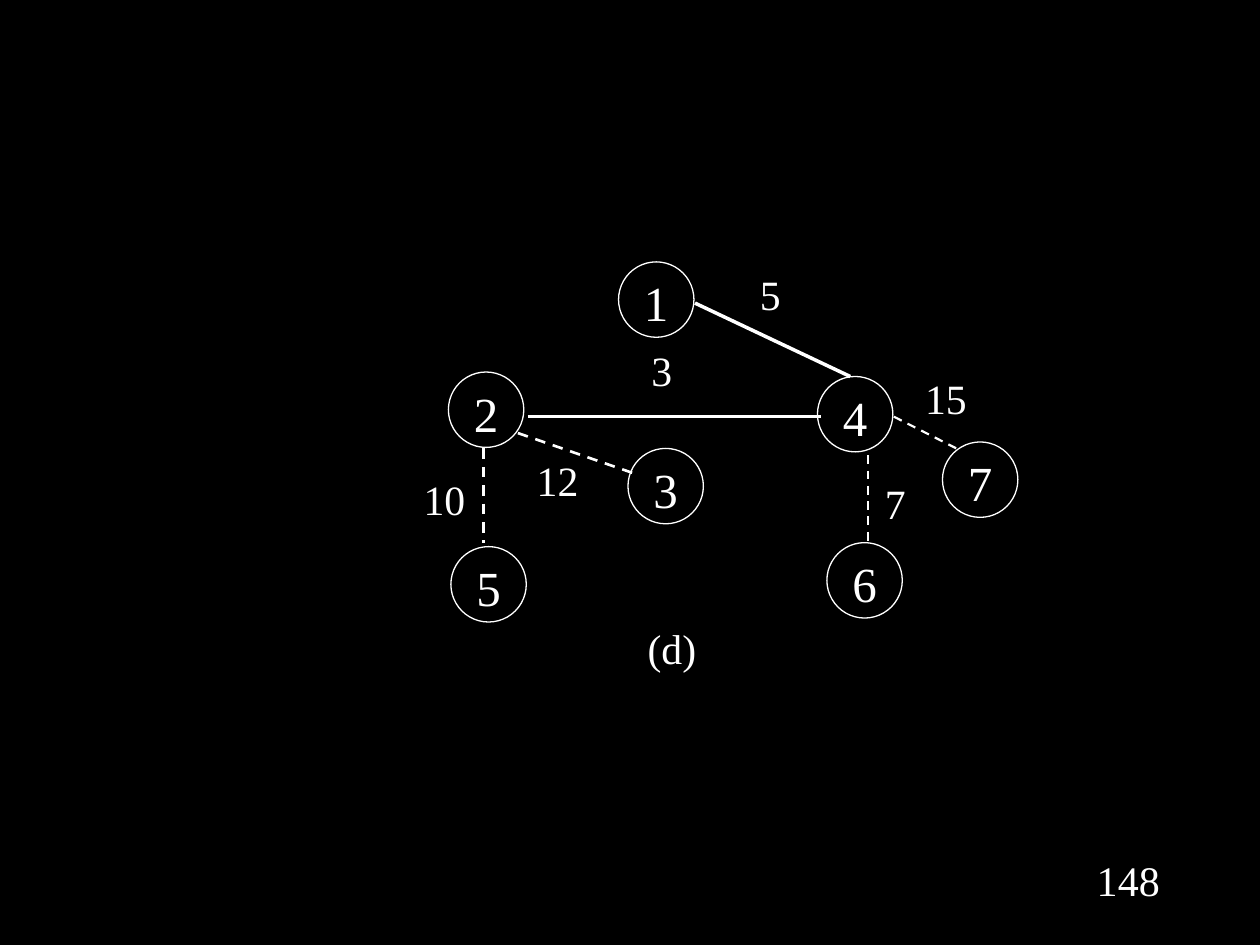
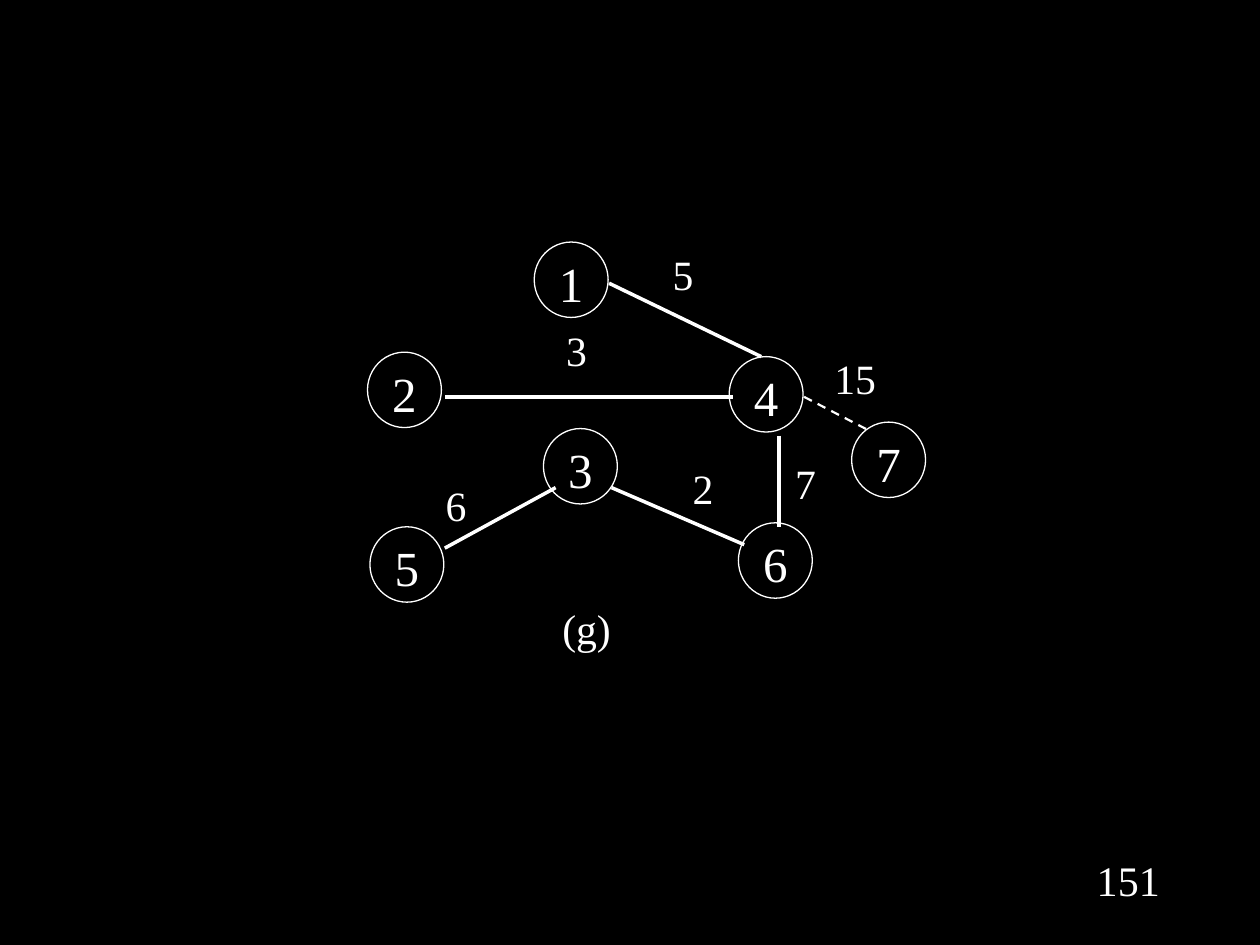
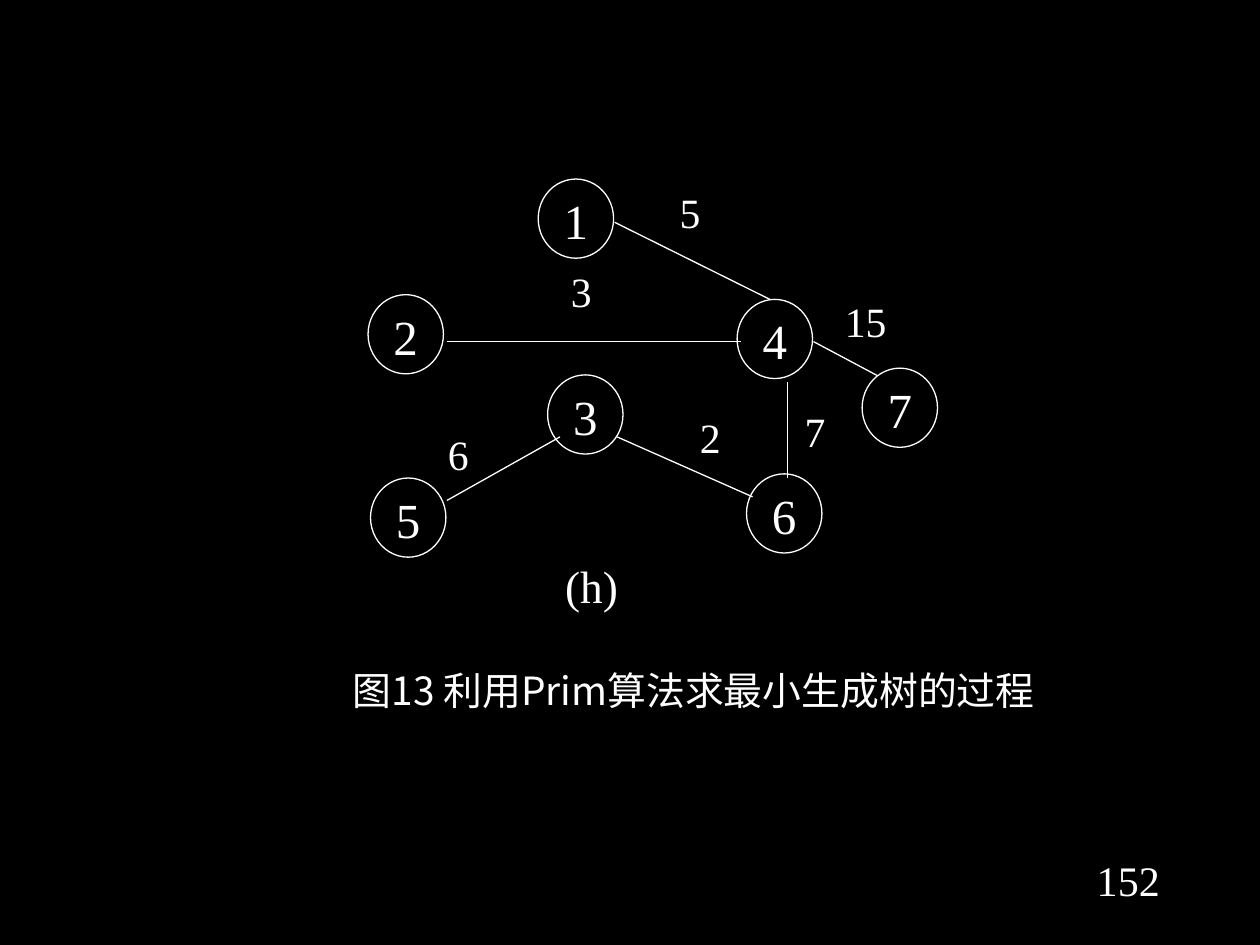
from dataclasses import dataclass
from pptx import Presentation
from pptx import util as u
from pptx.dml.color import RGBColor
from pptx.enum import dml, shapes, text
from pptx.oxml import xmlchemy as x
from pptx.oxml.ns import qn


@dataclass(frozen=True)
class Theme:
    ground: RGBColor = RGBColor(0, 0, 0)
    ink: RGBColor = RGBColor(255, 255, 255)
    latin: str = "Times New Roman"
    cjk: str = "Noto Sans CJK SC"
    node: float = 28
    weight: float = 23.8
    page: float = 24
    title: float = 22.2
    outline: float = 0.75


T = Theme()

NODE = 1.52
WEIGHT_BOX = (1.4, 1.02)
CAPTION_AT, CAPTION_BOX = (-0.13, 7.39), (2.41, 1.09)
PAGE_BOX = (21.79, 17.09, 1.91, 1.27)

NODES = {
    "1": (0, 0), "2": (-3.43, 2.22), "3": (0.19, 3.76), "4": (4.01, 2.31),
    "5": (-3.38, 5.74), "6": (4.2, 5.66), "7": (6.53, 3.63),
}

EDGES = {
    "1-4": ("5", (2.36, 0.25), (1.54, 0.83), (4.67, 2.31)),
    "2-4": ("3", (0.17, 1.78), (-1.83, 3.12), (4.09, 3.12)),
    "4-7": ("15", (5.9, 2.35), (5.55, 3.12), (6.83, 3.77)),
    "4-6": ("7", (4.88, 4.46), (5.03, 3.9), (5.03, 5.74)),
    "3-6": ("2", (2.77, 4.57), (1.59, 4.95), (4.32, 6.1)),
    "5-3": ("6", (-2.31, 4.9), (-1.84, 6.17), (0.44, 4.95)),
    "2-5": ("10", (-4.21, 4.39), (-2.72, 3.76), (-2.72, 5.66)),
    "2-3": ("12", (-1.93, 4.01), (-2.03, 3.45), (0.33, 4.27)),
}

STEPS = [
    {"page": "148", "caption": "(d)", "size": 23.8,
     "origin": (12.47, 5.28), "scale": (1, 1),
     "tree": (2, ["1-4", "2-4"]),
     "candidates": {"4-7": 1.25, "4-6": 1.25, "2-5": 1.5, "2-3": 1.5}},
    {"page": "151", "caption": "(g)", "size": 23.8,
     "origin": (10.77, 4.88), "scale": (0.98, 1),
     "tree": (2, ["1-4", "2-4", "4-6", "3-6", "5-3"]),
     "candidates": {"4-7": 1.25}},
    {"page": "152", "caption": "(h)", "size": 25.9,
     "origin": (10.85, 3.61), "scale": (1, 1.05),
     "tree": (0.75, ["1-4", "2-4", "4-6", "3-6", "5-3", "4-7"]),
     "candidates": {},
     "title": ("图13 利用Prim算法求最小生成树的过程", (6.15, 13.54, 15.67, 1.47))},
]


def write(sp, words, size, font=T.latin, spacing=None, margins=(0, 0)):
    tf = sp.text_frame
    tf.word_wrap = True
    tf.vertical_anchor = text.MSO_ANCHOR.TOP
    tf.margin_left = tf.margin_right = u.Cm(margins[0])
    tf.margin_top = tf.margin_bottom = u.Cm(margins[1])
    p = tf.paragraphs[0]
    p.alignment = text.PP_ALIGN.CENTER
    if spacing:
        p.line_spacing = spacing
    r = p.add_run()
    r.text = words
    r.font.name = font
    r.font.size = u.Pt(size)
    r.font.color.rgb = T.ink
    ea = r.font._element.makeelement(qn("a:ea"), {"typeface": font})
    r.font._element.find(qn("a:latin")).addnext(ea)


def add_label(s, box, words, size, **style):
    sp = s.shapes.add_textbox(*map(u.Cm, box))
    write(sp, words, size, **style)


def add_node(s, box, name):
    sp = s.shapes.add_shape(shapes.MSO_SHAPE.OVAL, *map(u.Cm, box))
    sp.shadow.inherit = False
    sp.fill.background()
    sp.line.color.rgb = T.ink
    sp.line.width = u.Pt(T.outline)
    write(sp, name, T.node)


def add_edge(s, start, end, width, dashed):
    c = s.shapes.add_connector(shapes.MSO_CONNECTOR.STRAIGHT, *map(u.Cm, start + end))
    c.line.color.rgb = T.ink
    c.line.width = u.Pt(width)
    if dashed:
        c.line.dash_style = dml.MSO_LINE.DASH
    pr = c._element.spPr
    pr.append(pr.makeelement(qn("a:effectLst"), {}))


def add_step(prs, step):
    s = prs.slides.add_slide(prs.slide_layouts[6])
    (ox, oy), (kx, ky) = step["origin"], step["scale"]

    def place(point):
        return ox + kx * point[0], oy + ky * point[1]

    def area(point, size):
        return place(point) + (kx * size[0], ky * size[1])

    width, tree = step["tree"]
    drawn = [(e, width, False) for e in tree]
    drawn += [(e, w, True) for e, w in step["candidates"].items()]
    for edge, w, dashed in drawn:
        weight, at, start, end = EDGES[edge]
        add_label(s, area(at, WEIGHT_BOX), weight, T.weight, spacing=0.9)
        add_edge(s, place(start), place(end), w, dashed)
    for name, at in NODES.items():
        add_node(s, area(at, (NODE, NODE)), name)
    add_label(s, area(CAPTION_AT, CAPTION_BOX), step["caption"], step["size"], spacing=0.9)
    if "title" in step:
        words, box = step["title"]
        add_label(s, box, words, T.title, font=T.cjk, spacing=0.9)
    add_label(s, PAGE_BOX, step["page"], T.page, margins=(0.25, 0.13))


def main():
    prs = Presentation()
    prs.slide_width, prs.slide_height = u.Cm(25.4), u.Cm(19.05)
    fill = prs.slide_master.background.fill
    fill.solid()
    fill.fore_color.rgb = T.ground
    for step in STEPS:
        add_step(prs, step)
    prs.save("out.pptx")


if __name__ == "__main__":
    main()
